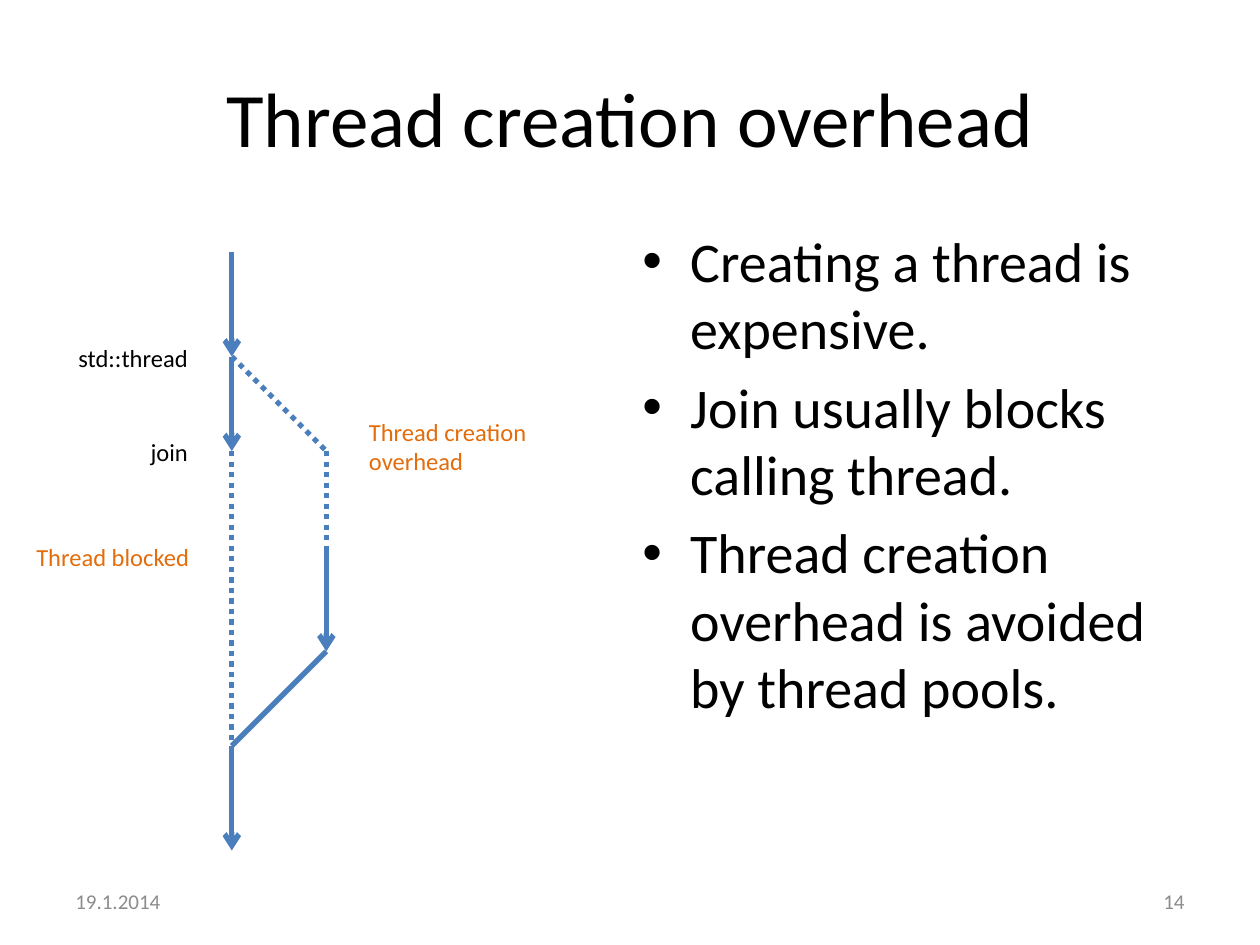
"""Build a slide about the overhead of creating threads."""
import pptx
import pptx.dml.color
import pptx.enum.dml
import pptx.enum.shapes
import pptx.enum.text
import pptx.oxml.ns
import pptx.util
from lxml import etree

Inches, Pt = pptx.util.Inches, pptx.util.Pt
ALIGN = pptx.enum.text.PP_ALIGN
ANCHOR = pptx.enum.text.MSO_ANCHOR

THEME = {
    "font": "Calibri",
    "text": "000000", "accent": "E46C0A", "muted": "8C8C8C", "line": "4B7EBC",
    "title": 44, "body": 32, "label": 14, "footer": 12, "stroke": 3,
}

TITLE = "Thread creation overhead"
BULLETS = [
    "Creating a thread is expensive.",
    "Join usually blocks calling thread.",
    "Thread creation overhead is avoided by thread pools.",
]

MAIN, WORKER = 1.84, 2.59
START, SPAWN, JOIN, RUN, DONE, MERGE, END = 2, 2.83, 3.58, 4.33, 5.17, 5.92, 6.75
SEGMENTS = [
    ((MAIN, START), (MAIN, SPAWN), "arrow"),
    ((MAIN, SPAWN), (MAIN, JOIN), "arrow"),
    ((MAIN, SPAWN), (WORKER, JOIN), "dotted"),
    ((WORKER, JOIN), (WORKER, RUN), "dotted"),
    ((WORKER, RUN), (WORKER, DONE), "arrow"),
    ((WORKER, DONE), (MAIN, MERGE), "plain"),
    ((MAIN, JOIN), (MAIN, MERGE), "dotted"),
    ((MAIN, MERGE), (MAIN, END), "arrow"),
]

LABELS = [
    ("Thread creation overhead", (2.83, 3.26, 2, 0.57), "accent", ALIGN.LEFT),
    ("Thread blocked", (0.19, 4.25, 1.56, 0.34), "accent", ALIGN.LEFT),
    ("std::thread", (0.26, 2.67, 1.33, 0.34), "text", ALIGN.RIGHT),
    ("join", (0.26, 3.42, 1.33, 0.34), "text", ALIGN.RIGHT),
]
FOOTERS = [
    ("19.1.2014", (0.5, 6.95, 2.33, 0.4), ALIGN.LEFT),
    ("14", (7.17, 6.95, 2.33, 0.4), ALIGN.RIGHT),
]


def rgb(name):
    return pptx.dml.color.RGBColor.from_string(THEME[name])


def add_bullet(p, indent=0.38):
    pPr = p._p.get_or_add_pPr()
    pPr.set("marL", str(Inches(indent)))
    pPr.set("indent", str(-Inches(indent)))
    etree.SubElement(pPr, pptx.oxml.ns.qn("a:buFont"), typeface="Arial")
    etree.SubElement(pPr, pptx.oxml.ns.qn("a:buChar"), char="•")


def add_text(s, lines, box, size, color="text", align=ALIGN.LEFT,
             anchor=ANCHOR.TOP, bullets=False):
    tf = s.shapes.add_textbox(*map(Inches, box)).text_frame
    tf.word_wrap = True
    tf.vertical_anchor = anchor
    for i, line in enumerate(lines):
        p = tf.add_paragraph() if i else tf.paragraphs[0]
        p.alignment = align
        if bullets:
            add_bullet(p)
            if i:
                p.space_before = Pt(THEME[size] * 0.2)
        r = p.add_run()
        r.text = line
        r.font.name = THEME["font"]
        r.font.size = Pt(THEME[size])
        r.font.color.rgb = rgb(color)


def add_segment(s, start, end, style):
    sp = s.shapes.add_connector(
        pptx.enum.shapes.MSO_CONNECTOR.STRAIGHT, *map(Inches, start + end))
    sp.line.color.rgb = rgb("line")
    sp.line.width = Pt(THEME["stroke"])
    if style == "dotted":
        sp.line.dash_style = pptx.enum.dml.MSO_LINE.ROUND_DOT
    if style == "arrow":
        etree.SubElement(sp.line._get_or_add_ln(),
                         pptx.oxml.ns.qn("a:tailEnd"), type="arrow")
    etree.SubElement(sp._element.spPr, pptx.oxml.ns.qn("a:effectLst"))


def main():
    prs = pptx.Presentation()
    prs.slide_width, prs.slide_height = Inches(10), Inches(7.5)
    s = prs.slides.add_slide(prs.slide_layouts[6])
    add_text(s, [TITLE], (0.5, 0.3, 9, 1.25), "title",
             align=ALIGN.CENTER, anchor=ANCHOR.MIDDLE)
    add_text(s, BULLETS, (5, 1.75, 4.5, 4.95), "body", bullets=True)
    for start, end, style in SEGMENTS:
        add_segment(s, start, end, style)
    for text, box, color, align in LABELS:
        add_text(s, [text], box, "label", color, align)
    for text, box, align in FOOTERS:
        add_text(s, [text], box, "footer", "muted", align, ANCHOR.MIDDLE)
    prs.save("out.pptx")


if __name__ == "__main__":
    main()
